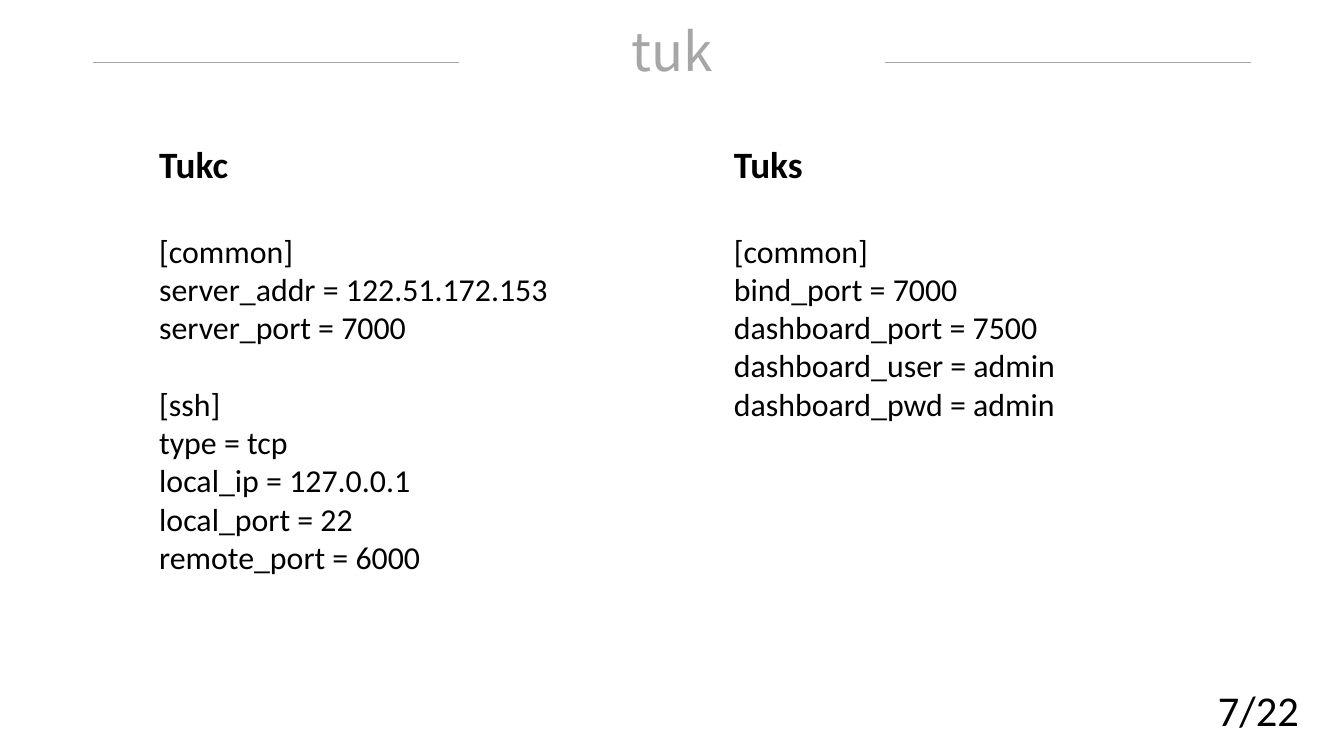
from lxml import etree
from pptx import Presentation
from pptx.dml.color import RGBColor
from pptx.enum import shapes, text
from pptx.oxml import ns
from pptx.util import Cm, Pt

# Content
TITLE = "tuk"
PAGE_NUMBER = "7/22"
CONFIGS = [
    ("Tukc", [
        ["[common]", "server_addr = 122.51.172.153", "server_port = 7000"],
        ["[ssh]", "type = tcp", "local_ip = 127.0.0.1", "local_port = 22",
         "remote_port = 6000"],
    ]),
    ("Tuks", [
        ["[common]", "bind_port = 7000", "dashboard_port = 7500",
         "dashboard_user = admin", "dashboard_pwd = admin"],
    ]),
]

# Style, lengths in centimetres
GREY = RGBColor(0xA6, 0xA6, 0xA6)
BLACK = RGBColor(0, 0, 0)
TITLE_FONT, BODY_FONT = "Noto Sans CJK SC", "Calibri"
WIDTH, HEIGHT = 35.71, 20.09
TITLE_WIDTH = 10.97
RULE_MARGIN, RULE_LENGTH, RULE_TOP = 2.46, 9.73, 1.65
COLUMN_LEFT, COLUMN_STEP, COLUMN_TOP = 3.98, 15.27, 3.64
COLUMN_WIDTH, COLUMN_HEIGHT = 11.68, 11.89
HEADING_GAP, SECTION_GAP = Pt(34), Pt(29)


def add_box(page, left, top, width, height):
    box = page.shapes.add_textbox(Cm(left), Cm(top), Cm(width), Cm(height))
    box.text_frame.word_wrap = True
    return box.text_frame


def add_span(para, wording, size, font=BODY_FONT, color=BLACK, bold=False):
    span = para.add_run()
    span.text = wording
    span.font.name = font
    span.font.size = Pt(size)
    span.font.bold = bold
    span.font.color.rgb = color


def add_rule(page, left):
    rule = page.shapes.add_connector(
        shapes.MSO_CONNECTOR.STRAIGHT,
        Cm(left), Cm(RULE_TOP), Cm(left + RULE_LENGTH), Cm(RULE_TOP))
    rule.line.color.rgb = GREY
    rule.line.width = Pt(0.5)
    etree.SubElement(rule._element.spPr, ns.qn("a:effectLst"))


def add_config(page, left, heading, sections):
    frame = add_box(page, left, COLUMN_TOP, COLUMN_WIDTH, COLUMN_HEIGHT)
    add_span(frame.paragraphs[0], heading, 28, bold=True)
    gap = HEADING_GAP
    for section in sections:
        for number, setting in enumerate(section):
            para = frame.add_paragraph()
            if number == 0:
                para.space_before = gap
            add_span(para, setting, 24)
        gap = SECTION_GAP


def main():
    deck = Presentation()
    deck.slide_width, deck.slide_height = Cm(WIDTH), Cm(HEIGHT)
    page = deck.slides.add_slide(deck.slide_layouts[6])

    # Title between two rules
    frame = add_box(page, (WIDTH - TITLE_WIDTH) / 2, 0.48, TITLE_WIDTH, 1.7)
    frame.margin_left = frame.margin_right = 0
    frame.margin_top = frame.margin_bottom = 0
    frame.vertical_anchor = text.MSO_ANCHOR.MIDDLE
    frame.paragraphs[0].alignment = text.PP_ALIGN.CENTER
    add_span(frame.paragraphs[0], TITLE, 40, TITLE_FONT, GREY)
    for left in (RULE_MARGIN, WIDTH - RULE_MARGIN - RULE_LENGTH):
        add_rule(page, left)

    # Page number
    frame = add_box(page, 32.11, 18.04, 3.6, 1.55)
    add_span(frame.paragraphs[0], PAGE_NUMBER, 32)

    # Configuration columns
    for column, (heading, sections) in enumerate(CONFIGS):
        add_config(page, COLUMN_LEFT + column * COLUMN_STEP, heading, sections)

    deck.save("out.pptx")


if __name__ == "__main__":
    main()
